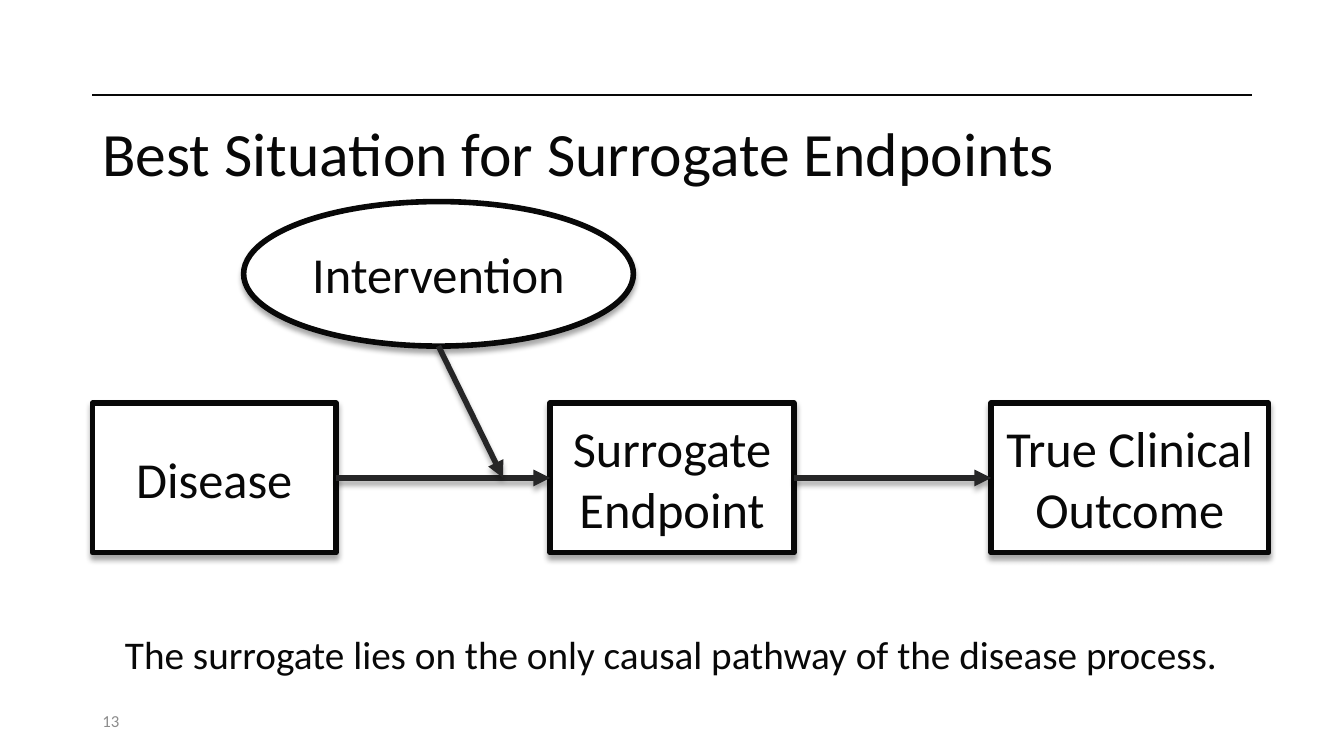
from dataclasses import dataclass

from lxml.etree import SubElement
from pptx import Presentation
from pptx.dml.color import RGBColor
from pptx.enum.shapes import MSO_CONNECTOR, MSO_SHAPE
from pptx.enum.text import MSO_ANCHOR, MSO_AUTO_SIZE, PP_ALIGN
from pptx.oxml.ns import qn
from pptx.util import Inches, Pt


@dataclass(frozen=True)
class Theme:
    font: str = "Calibri"
    ink: str = "080808"
    arrow: str = "262627"
    muted: str = "8C8C8C"
    paper: str = "FFFFFF"
    shadow: str = "000000"
    title: int = 44
    node: int = 36
    body: int = 28
    small: int = 12
    stroke: int = 4
    hairline: int = 1


class Diagram:
    COLS, ROWS = 160, 90

    def __init__(self, prs, theme):
        self.prs, self.theme = prs, theme
        self.s = prs.slides.add_slide(prs.slide_layouts[5])

    def x(self, cols):
        return round(self.prs.slide_width * cols / self.COLS)

    def y(self, rows):
        return round(self.prs.slide_height * rows / self.ROWS)

    def box(self, left, top, width, height):
        return self.x(left), self.y(top), self.x(width), self.y(height)

    def set_text(self, tf, text, size, color, align=PP_ALIGN.LEFT, anchor=MSO_ANCHOR.MIDDLE, wrap=True):
        tf.word_wrap = wrap
        tf.vertical_anchor = anchor
        p = tf.paragraphs[0]
        p.alignment = align
        r = p.add_run()
        r.text = text
        r.font.name = self.theme.font
        r.font.size = Pt(size)
        r.font.color.rgb = RGBColor.from_string(color)
        return p

    def drop_shadow(self, effects):
        shadow = SubElement(effects, qn("a:outerShdw"), blurRad=str(Pt(4)), dist=str(Pt(3)),
                            dir="5400000", rotWithShape="0")
        color = SubElement(shadow, qn("a:srgbClr"), val=self.theme.shadow)
        SubElement(color, qn("a:alpha"), val="35000")

    def title(self, text, *place):
        sp = self.s.shapes.title
        sp.left, sp.top, sp.width, sp.height = self.box(*place)
        sp.text_frame.auto_size = MSO_AUTO_SIZE.NONE
        p = self.set_text(sp.text_frame, text, self.theme.title, self.theme.ink)
        p.line_spacing = 0.9

    def text(self, text, place, size, color, **style):
        sp = self.s.shapes.add_textbox(*self.box(*place))
        self.set_text(sp.text_frame, text, size, color, **style)
        return sp

    def node(self, kind, text, *place):
        sp = self.s.shapes.add_shape(kind, *self.box(*place))
        sp.fill.solid()
        sp.fill.fore_color.rgb = RGBColor.from_string(self.theme.paper)
        sp.line.color.rgb = RGBColor.from_string(self.theme.ink)
        sp.line.width = Pt(self.theme.stroke)
        sp.shadow.inherit = False
        self.drop_shadow(sp._element.spPr.find(qn("a:effectLst")))
        self.set_text(sp.text_frame, text, self.theme.node, self.theme.ink, PP_ALIGN.CENTER)
        return sp

    def line(self, start, end, color, width):
        cxn = self.s.shapes.add_connector(MSO_CONNECTOR.STRAIGHT, self.x(start[0]), self.y(start[1]),
                                          self.x(end[0]), self.y(end[1]))
        cxn.line.color.rgb = RGBColor.from_string(color)
        cxn.line.width = Pt(width)
        return cxn, SubElement(cxn._element.spPr, qn("a:effectLst"))

    def arrow(self, start, end):
        cxn, effects = self.line(start, end, self.theme.arrow, self.theme.stroke)
        SubElement(cxn._element.spPr.find(qn("a:ln")), qn("a:tailEnd"), type="triangle")
        self.drop_shadow(effects)
        return cxn


def main():
    prs = Presentation()
    prs.slide_width, prs.slide_height = Inches(13.33), Inches(7.5)
    theme = Theme()
    d = Diagram(prs, theme)
    margin, content = 11, 138

    d.line((margin, 11.3), (margin + content, 11.3), theme.ink, theme.hairline)
    d.title("Best Situation for Surrogate Endpoints", margin, 12, content, 13.3)
    d.text("13", (margin, 83.4, 36, 4.8), theme.small, theme.muted)

    top, height = 48, 17.8
    middle = top + height / 2
    stages = [("Disease", margin, 29), ("Surrogate Endpoint", 65.5, 29), ("True Clinical Outcome", 118, 33)]
    boxes = [d.node(MSO_SHAPE.RECTANGLE, text, left, top, width, height) for text, left, width in stages]
    d.node(MSO_SHAPE.OVAL, "Intervention", 29, 24, 46.4, 17.2)

    for source, target in zip(boxes, boxes[1:]):
        cxn = d.arrow((0, middle), (1, middle))
        cxn.begin_connect(source, 3)
        cxn.end_connect(target, 1)
    d.arrow((29 + 46.4 / 2, 24 + 17.2), (59.9, middle))

    caption = d.text("The surrogate lies on the only causal pathway of the disease process.",
                     (13.7, 74.5, 132.6, 6.8), theme.body, theme.ink, anchor=MSO_ANCHOR.TOP, wrap=False)
    caption.text_frame.auto_size = MSO_AUTO_SIZE.SHAPE_TO_FIT_TEXT

    prs.save("out.pptx")


if __name__ == "__main__":
    main()
